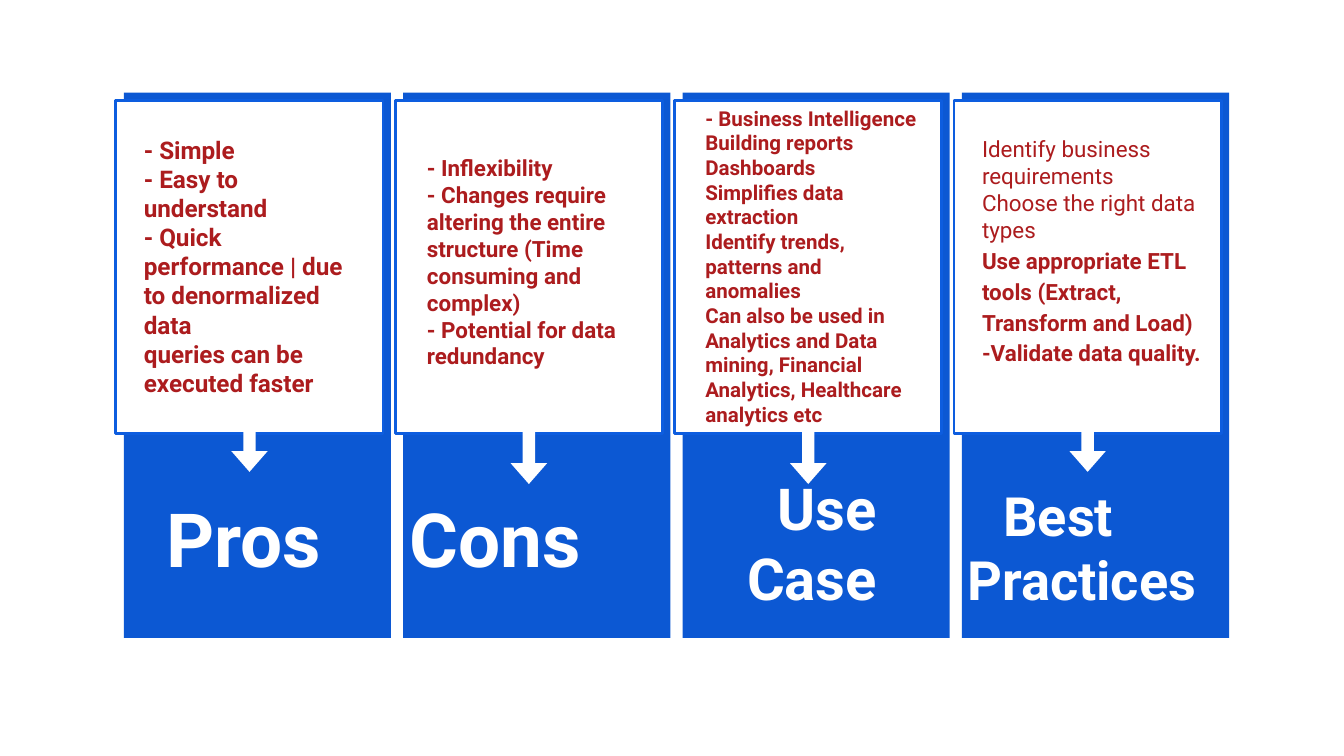
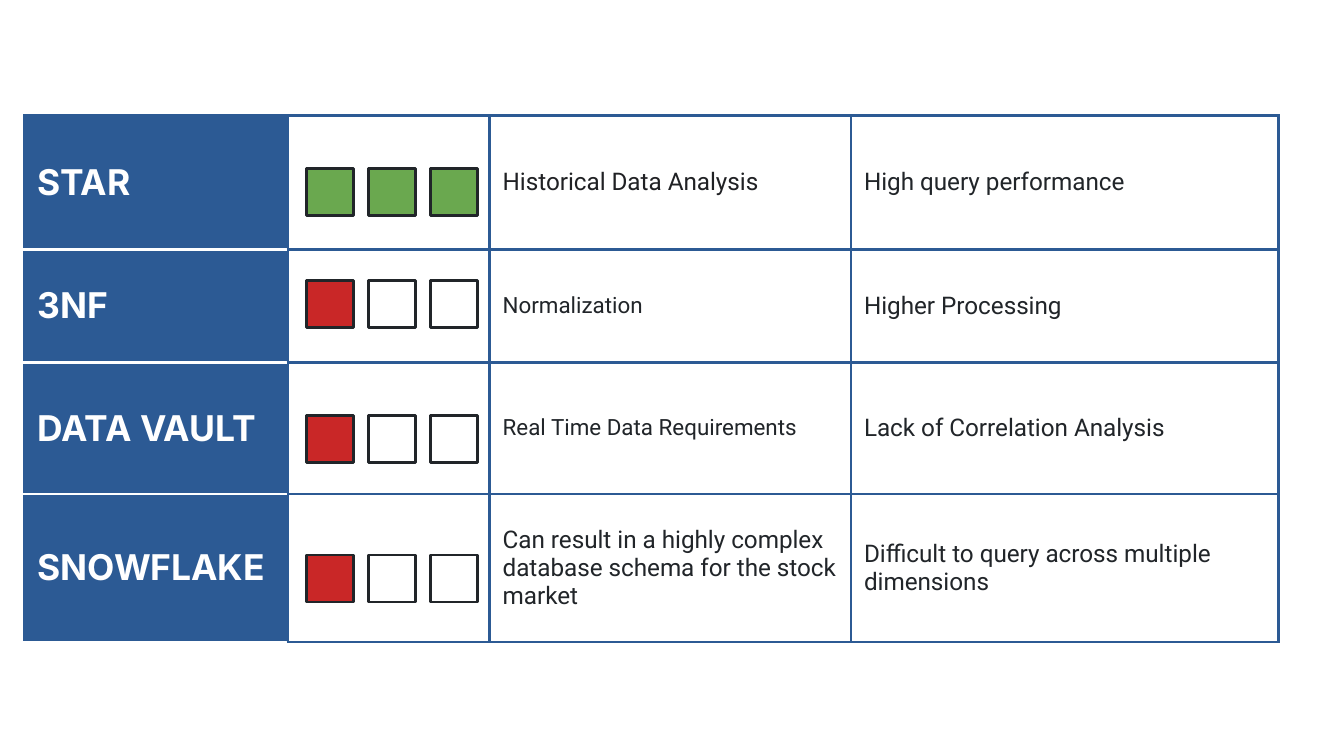
from dataclasses import dataclass

from lxml import etree
from pptx import Presentation
from pptx.dml.color import RGBColor
from pptx.enum.shapes import MSO_SHAPE
from pptx.enum.text import MSO_ANCHOR, PP_ALIGN
from pptx.oxml.ns import qn
from pptx.util import Cm, Pt

RECT, ARROW = MSO_SHAPE.RECTANGLE, MSO_SHAPE.RIGHT_ARROW
TOP, MIDDLE = MSO_ANCHOR.TOP, MSO_ANCHOR.MIDDLE
LEFT, CENTER = PP_ALIGN.LEFT, PP_ALIGN.CENTER
BLUE, EDGE, NAVY, WHITE = "0C58D3", "0D5DDF", "2C5A94", "FFFFFF"
WINE, INK, GREEN, RED = "AC1C1E", "212529", "6AA84F", "C92727"
BODY, HEAD = "Roboto", "Inter"
INSET, STROKE = 0.25, 1.5
FIRST, PITCH, WIDTH = 2.34, 5.28, 5.05


@dataclass
class Box:
    """Place and size in centimetres."""
    x: float
    y: float
    w: float
    h: float


@dataclass
class Style:
    """Look of a run of text."""
    size: float
    tint: str
    bold: bool = False
    font: str = BODY


@dataclass
class Panel:
    """One column of the first slide, with x measured from its left edge."""
    lines: list[str]
    size: int
    text: Box
    title: str
    big: int
    label: Box
    tip: float
    indent: float = 0
    drop: float = 0
    align: PP_ALIGN = LEFT
    anchor: MSO_ANCHOR = TOP
    plain: int = 0
    spread: float = 1


@dataclass
class Row:
    """One schema in the table, with its score squares."""
    name: str
    height: float
    use: str
    size: int
    tint: str
    trait: str
    marks: float
    score: int
    hue: str


PANELS = [
    Panel(["- Simple", "- Easy to understand",
           "- Quick performance | due to denormalized data",
           "queries can be executed faster"],
          13, Box(0.13, 2.49, 4.52, 5.08), "Pros", 40,
          Box(-0.15, 9.07, WIDTH, 2.74), 8.08, indent=0.7, anchor=MIDDLE),
    Panel(["- Inflexibility",
           "- Changes require altering the entire structure "
           "(Time consuming and complex)",
           "- Potential for data redundancy"],
          12, Box(0.2, 2.67, 4.52, 4.24), "Cons", 40,
          Box(-0.13, 9.07, WIDTH, 2.74), 8.31),
    Panel(["- Business Intelligence", "Building reports", "Dashboards",
           "Simplifies data extraction",
           "Identify trends, patterns and anomalies",
           "Can also be used in Analytics and Data mining, "
           "Financial Analytics, Healthcare analytics etc"],
          11, Box(0.18, 1.75, 4.52, 6.1), "Use Case", 31,
          Box(-0.08, 8.56, WIDTH, 2.74), 8.31,
          indent=0.57, drop=0.13, align=CENTER),
    Panel(["Identify business requirements", "Choose the right data types",
           "Use appropriate ETL tools (Extract, Transform and Load)",
           "-Validate data quality."],
          12, Box(0.13, 2.31, 4.78, 4.75), "Best Practices", 29,
          Box(-0.15, 8.56, WIDTH, 2.74), 8.08,
          indent=0.68, drop=0.3, plain=2, spread=1.15),
]

ROWS = [
    Row("STAR", 2.54, "Historical Data Analysis", 13, "202124",
        "High query performance", 3.18, 3, GREEN),
    Row("3NF", 2.13, "Normalization", 12, INK,
        "Higher Processing", 5.31, 1, RED),
    Row("DATA VAULT", 2.49, "Real Time Data Requirements", 12, INK,
        "Lack of Correlation Analysis", 7.85, 1, RED),
    Row("SNOWFLAKE", 2.79,
        "Can result in a highly complex database schema for the stock market",
        13, INK, "Difficult to query across multiple dimensions",
        10.49, 1, RED),
]
COLUMNS = [4.98, 3.81, 6.83, 8.08]


def paint(target, tint: str) -> None:
    """Give a fill or a font a solid colour."""
    if hasattr(target, "solid"):
        target.solid()
        target.fore_color.rgb = RGBColor.from_string(tint)
    else:
        target.color.rgb = RGBColor.from_string(tint)


def span(box: Box, shift: float = 0) -> tuple:
    """Turn a box into lengths, moved right by the shift."""
    return Cm(box.x + shift), Cm(box.y), Cm(box.w), Cm(box.h)


def draw(host, kind, box: Box, fill: str = "", line: str = ""):
    """Draw a flat shape with an optional fill and outline."""
    shape = host.shapes.add_shape(kind, *span(box))
    shape.shadow.inherit = False
    if fill:
        paint(shape.fill, fill)
    else:
        shape.fill.background()
    if line:
        paint(shape.line, line)
        shape.line.width = Pt(STROKE)
    else:
        shape.line.fill.background()
    return shape


def dress(para, style: Style) -> None:
    """Format each run of a paragraph."""
    for run in para.runs:
        run.font.name = style.font
        run.font.size = Pt(style.size)
        run.font.bold = style.bold
        paint(run.font, style.tint)


def write(host, box: Box, shift: float, text: str, style: Style,
          drop: float = 0, anchor: MSO_ANCHOR = TOP):
    """Add a wrapped text box and return its frame."""
    frame = host.shapes.add_textbox(*span(box, shift)).text_frame
    frame.word_wrap = True
    frame.vertical_anchor = anchor
    frame.margin_left = frame.margin_right = frame.margin_bottom = Cm(INSET)
    frame.margin_top = Cm(INSET + drop)
    frame.text = text
    for para in frame.paragraphs:
        dress(para, style)
    return frame


def build_panel(slide, panel: Panel, left: float) -> None:
    """Draw one column with its card, arrow and label."""
    group = slide.shapes.add_group_shape()
    draw(group, RECT, Box(left, 1.75, WIDTH, 10.31), BLUE)
    draw(group, RECT, Box(left - 0.15, 1.9, WIDTH, 6.3), WHITE, EDGE)
    arrow = draw(group, ARROW, Box(left + 1.88, panel.tip, 0.99, 0.69), WHITE)
    arrow.rotation = 90
    arrow.adjustments[0], arrow.adjustments[1] = 0.34, 0.57
    frame = write(group, panel.text, left, "\n".join(panel.lines),
                  Style(panel.size, WINE, True), anchor=panel.anchor)
    for spot, para in enumerate(frame.paragraphs):
        if spot < panel.plain:
            dress(para, Style(panel.size, WINE))
        elif panel.spread != 1:
            para.line_spacing = panel.spread
    label = write(group, panel.label, left, panel.title,
                  Style(panel.big, WHITE, True), panel.drop)
    para = label.paragraphs[0]
    para.alignment = panel.align
    if panel.indent:
        props = para._p.get_or_add_pPr()
        props.set("marL", "0")
        props.set("indent", str(Cm(panel.indent)))


def edge(cell, side: str, tint: str) -> None:
    """Add one border line to a cell."""
    line = etree.SubElement(cell._tc.get_or_add_tcPr(), qn(f"a:ln{side}"),
                            w=str(Pt(STROKE)))
    fill = etree.SubElement(line, qn("a:solidFill"))
    etree.SubElement(fill, qn("a:srgbClr"), val=tint)


def fill_cell(cell, text: str, style: Style, tints: str, fill: str) -> None:
    """Set the text, borders and fill of a cell."""
    cell.margin_left = cell.margin_right = Cm(INSET)
    cell.margin_top = cell.margin_bottom = Cm(INSET)
    cell.vertical_anchor = MIDDLE
    for side, tint in zip("LRTB", tints):
        edge(cell, side, tint)
    if fill:
        paint(cell.fill, fill)
    else:
        cell.fill.background()
    if text:
        cell.text_frame.text = text
        dress(cell.text_frame.paragraphs[0], style)


def build_table(slide) -> None:
    """Draw the table of schemas and its score squares."""
    place = Box(0.46, 2.18, sum(COLUMNS), sum(row.height for row in ROWS))
    table = slide.shapes.add_table(len(ROWS), len(COLUMNS),
                                   *span(place)).table
    table.first_row = table.horz_banding = False
    for column, width in zip(table.columns, COLUMNS):
        column.width = Cm(width)
    for spot, row in enumerate(ROWS):
        table.rows[spot].height = Cm(row.height)
        texts = [(row.name, Style(19, WHITE, True, HEAD)),
                 ("", Style(13, INK)),
                 (row.use, Style(row.size, row.tint)),
                 (row.trait, Style(13, INK))]
        for col, (text, style) in enumerate(texts):
            tints = [NAVY] * 4
            if col == 0:
                tints = [NAVY, NAVY, WHITE if spot else NAVY, WHITE]
            fill_cell(table.cell(spot, col), text, style, tints,
                      NAVY if col == 0 else "")
    for row in ROWS:
        for step in range(3):
            draw(slide, RECT, Box(5.79 + 1.17 * step, row.marks, 0.89, 0.89),
                 row.hue if step < row.score else "", INK)


def main() -> None:
    """Build both slides and save them."""
    deck = Presentation()
    deck.slide_width, deck.slide_height = Cm(25.4), Cm(14.29)
    blank = deck.slide_layouts[6]
    slide = deck.slides.add_slide(blank)
    for spot, panel in enumerate(PANELS):
        build_panel(slide, panel, FIRST + PITCH * spot)
    build_table(deck.slides.add_slide(blank))
    deck.save("out.pptx")


if __name__ == "__main__":
    main()
